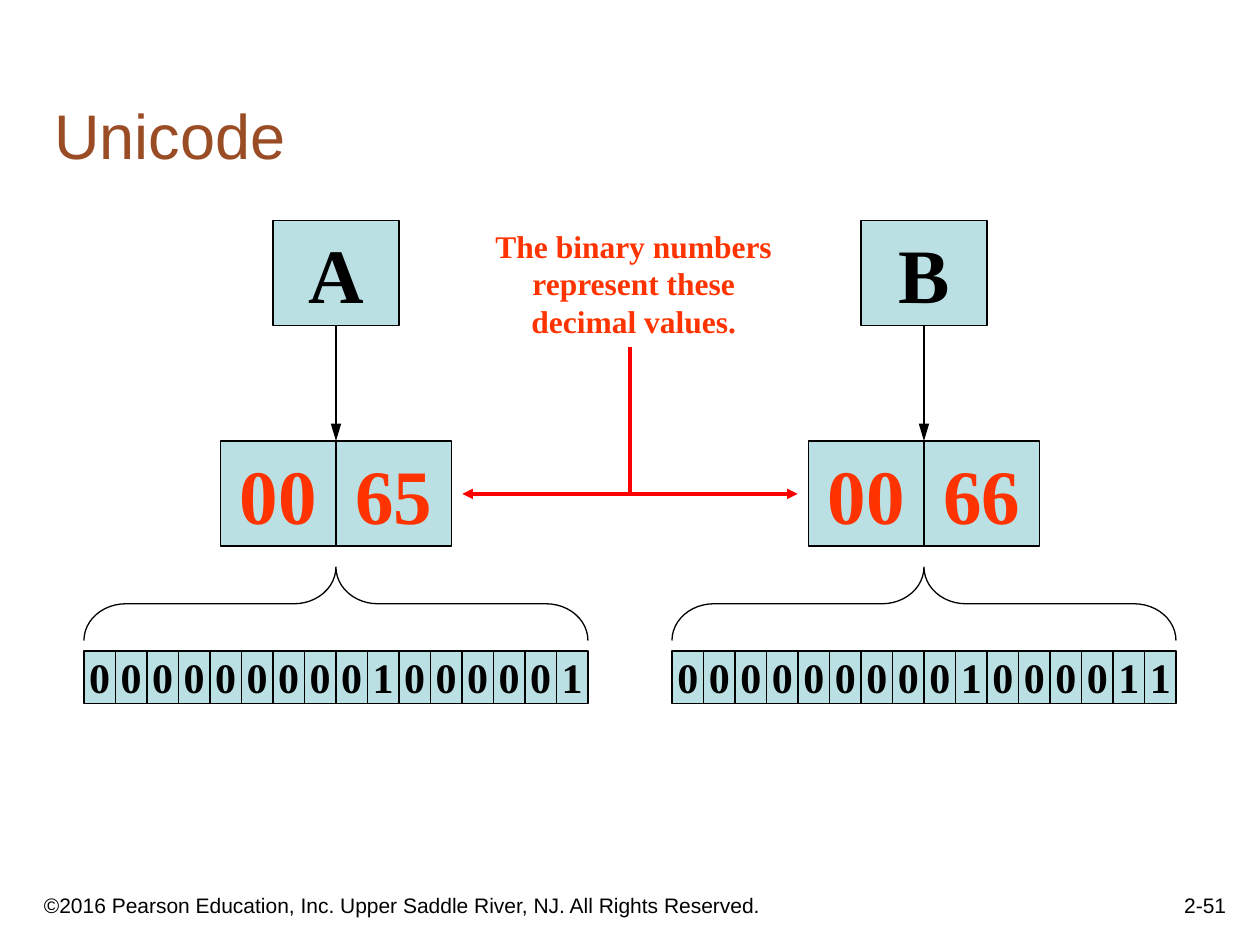
"""Build a slide showing how Unicode stores the letters A and B."""
from dataclasses import dataclass

from pptx import Presentation
from pptx.dml.color import RGBColor
from pptx.enum.shapes import MSO_CONNECTOR as Connector, MSO_SHAPE as Shape
from pptx.enum.text import MSO_ANCHOR as Anchor, PP_ALIGN as Align
from pptx.oxml.ns import qn
from pptx.slide import Slide
from pptx.text.text import TextFrame
from pptx.util import Inches, Pt

BLACK = RGBColor(0x00, 0x00, 0x00)
BROWN = RGBColor(0x9A, 0x4C, 0x25)
ORANGE = RGBColor(0xFF, 0x33, 0x00)
RED = RGBColor(0xFF, 0x00, 0x00)
PALE_BLUE = RGBColor(0xBB, 0xE0, 0xE3)
SANS = "Arial"
SERIF = "Times New Roman"

LETTER_TOP, CODE_TOP, BRACE_TOP, BITS_TOP = 1.75, 3.5, 4.5, 31 / 6
BOX_HEIGHT, CODE_WIDTH = 5 / 6, 11 / 12
BIT_WIDTH, BIT_HEIGHT = 1 / 4, 5 / 12
BRACE_DEPTH, BRACE_SPAN = 7 / 12, 4


@dataclass
class Encoding:
    letter: str
    decimals: list[str]
    bits: str
    center: float


ENCODINGS = [
    Encoding("A", ["00", "65"], "0000000001000001", 8 / 3),
    Encoding("B", ["00", "66"], "0000000001000011", 22 / 3),
]


def write(frame: TextFrame, text: str, font: str, size: int, color: RGBColor,
          bold: bool = False, align: Align = Align.LEFT) -> None:
    """Put formatted text in a frame."""
    frame.text = text
    for para in frame.paragraphs:
        para.alignment = align
        for span in para.runs:
            span.font.name = font
            span.font.size = Pt(size)
            span.font.bold = bold
            span.font.color.rgb = color


def add_label(page: Slide, left: float, top: float, width: float, height: float,
              anchor: Anchor) -> TextFrame:
    """Add an empty text box and return its frame."""
    box = page.shapes.add_textbox(Inches(left), Inches(top), Inches(width), Inches(height))
    box.text_frame.word_wrap = True
    box.text_frame.vertical_anchor = anchor
    return box.text_frame


def add_row(page: Slide, texts: list[str] | str, center: float, top: float,
            width: float, height: float, size: int, color: RGBColor) -> None:
    """Draw a centred row of touching cells."""
    start = center - len(texts) * width / 2
    for index, text in enumerate(texts):
        cell = page.shapes.add_shape(Shape.RECTANGLE, Inches(start + index * width),
                                     Inches(top), Inches(width), Inches(height))
        cell.shadow.inherit = False
        cell.fill.solid()
        cell.fill.fore_color.rgb = PALE_BLUE
        cell.line.color.rgb = BLACK
        cell.line.width = Pt(0.75)
        cell.text_frame.word_wrap = False
        cell.text_frame.vertical_anchor = Anchor.MIDDLE
        write(cell.text_frame, text, SERIF, size, color, True, Align.CENTER)


def add_line(page: Slide, start: tuple[float, float], end: tuple[float, float],
             color: RGBColor, width: float, heads: tuple[str, ...] = (),
             length: str = "med") -> None:
    """Draw a straight line with optional arrowheads."""
    line = page.shapes.add_connector(Connector.STRAIGHT, *map(Inches, start + end))
    line.line.color.rgb = color
    line.line.width = Pt(width)
    properties = line._element.spPr
    for head in heads:
        arrow = properties.find(qn("a:ln")).makeelement(
            qn(f"a:{head}"), {"type": "triangle", "w": "med", "len": length})
        properties.find(qn("a:ln")).append(arrow)
    properties.append(properties.makeelement(qn("a:effectLst"), {}))


def add_brace(page: Slide, center: float) -> None:
    """Draw an upward brace over the bits."""
    middle = BRACE_TOP + BRACE_DEPTH / 2
    brace = page.shapes.add_shape(
        Shape.RIGHT_BRACE, Inches(center - BRACE_DEPTH / 2), Inches(middle - BRACE_SPAN / 2),
        Inches(BRACE_DEPTH), Inches(BRACE_SPAN))
    brace.rotation = 270
    brace.adjustments[0] = 0.57
    brace.shadow.inherit = False
    brace.fill.background()
    brace.line.color.rgb = BLACK
    brace.line.width = Pt(0.75)


def add_encoding(page: Slide, item: Encoding) -> None:
    """Draw a letter, its decimal code and its bits."""
    add_row(page, item.letter, item.center, LETTER_TOP, 1, BOX_HEIGHT, 44, BLACK)
    add_row(page, item.decimals, item.center, CODE_TOP, CODE_WIDTH, BOX_HEIGHT, 44, ORANGE)
    add_line(page, (item.center, LETTER_TOP + BOX_HEIGHT), (item.center, CODE_TOP),
             BLACK, 1.5, ("tailEnd",), "lg")
    add_row(page, item.bits, item.center, BITS_TOP, BIT_WIDTH, BIT_HEIGHT, 24, BLACK)
    add_brace(page, item.center)


def main() -> None:
    """Build and save the deck."""
    deck = Presentation()
    deck.slide_width, deck.slide_height = Inches(10), Inches(7.5)
    page = deck.slides.add_slide(deck.slide_layouts[5])

    title = page.shapes.title
    title.left, title.top = Inches(0.33), Inches(0.33)
    title.width, title.height = Inches(9.42), Inches(1.09)
    title.text_frame.vertical_anchor = Anchor.BOTTOM
    write(title.text_frame, "Unicode", SANS, 36, BROWN)

    footer = add_label(page, 0.25, 6.91, 6.08, 0.42, Anchor.BOTTOM)
    write(footer, "©2016 Pearson Education, Inc. Upper Saddle River, NJ. All Rights Reserved.",
          SANS, 12, BLACK)
    number = add_label(page, 7.75, 6.83, 2.08, 0.5, Anchor.BOTTOM)
    write(number, "2-51", SANS, 12, BLACK, align=Align.RIGHT)

    for item in ENCODINGS:
        add_encoding(page, item)

    note = add_label(page, 3.78, 1.75, 2.5, 1, Anchor.TOP)
    write(note, "The binary numbers\nrepresent these\ndecimal values.",
          SERIF, 18, ORANGE, True, Align.CENTER)
    add_line(page, (5, 2.75), (5, 3.92), RED, 2)
    add_line(page, (3.67, 3.92), (6.33, 3.92), RED, 2, ("headEnd", "tailEnd"))

    deck.save("out.pptx")


if __name__ == "__main__":
    main()
